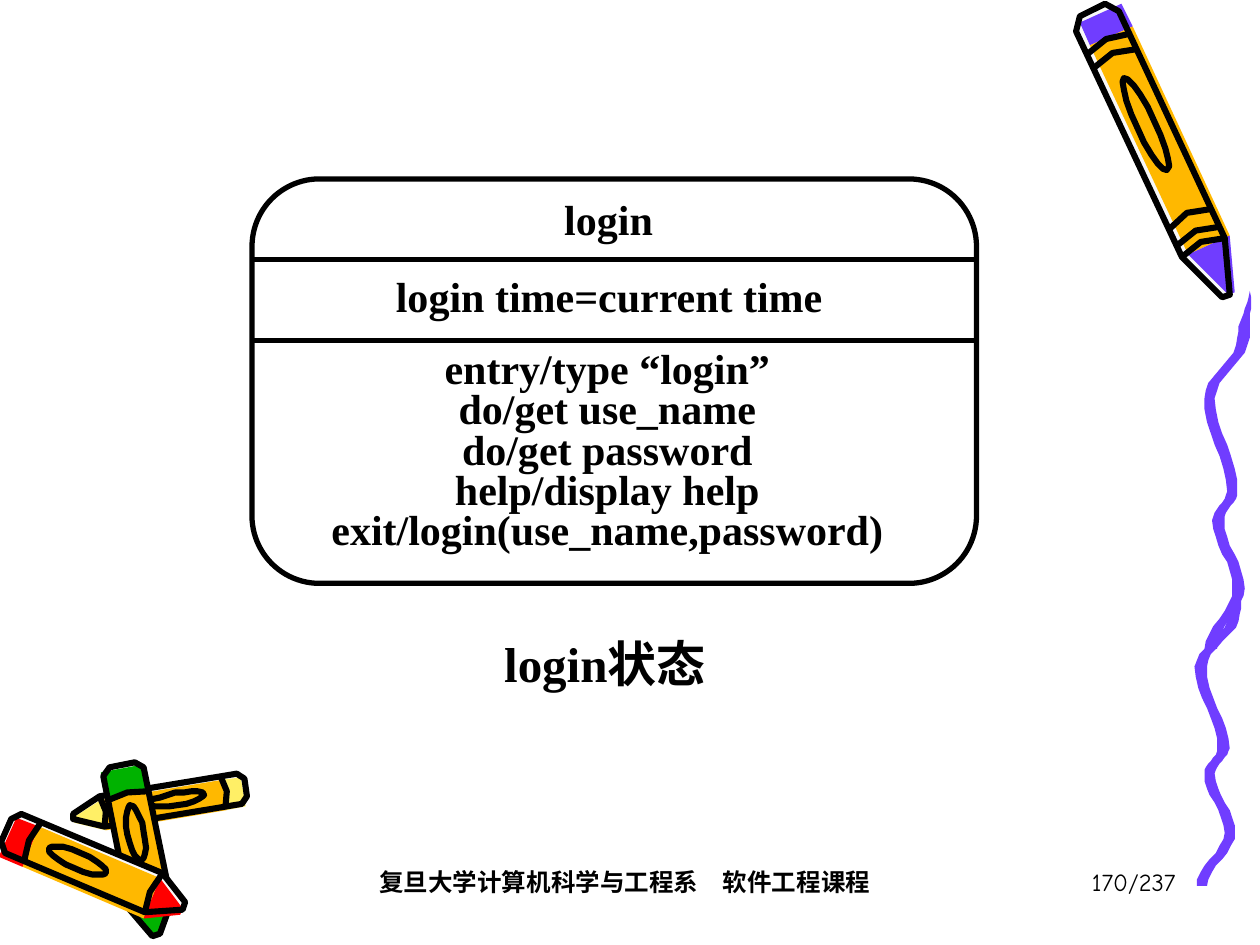
"""Builds the login state slide with its crayon decoration."""
from dataclasses import dataclass
from math import cos, hypot, pi, sin

from lxml import etree
from pptx import Presentation
from pptx import util as u
from pptx.dml.color import RGBColor
from pptx.enum import shapes, text
from pptx.oxml.ns import qn

COLS, ROWS = 1000, 750
CELL = u.Inches(0.01)
INK, PAPER, AMBER, PURPLE = "000000", "F8F8F8", "FFB800", "703DFF"
RED, GREEN, CREAM = "FF0000", "00B200", "FFEF66"
SERIF, HAND = "Times New Roman", "Comic Neue"
Points = list[tuple[float, float]]


@dataclass
class Crayon:
    """A crayon from tail to tip; cap and bands are shares of its length, shift of its width."""
    tail: tuple[int, int]
    tip: tuple[int, int]
    width: int
    color: str
    cap: float
    bands: tuple[float, ...]
    shift: float

    def place(self, local: Points) -> Points:
        """Map (share along, share across) points to grid points."""
        dx, dy = self.tip[0] - self.tail[0], self.tip[1] - self.tail[1]
        scale = self.width / hypot(dx, dy)
        return [(self.tail[0] + along * dx + across * scale * dy,
                 self.tail[1] + along * dy - across * scale * dx) for along, across in local]


@dataclass
class Label:
    """Text lines in a box given in grid columns and rows."""
    box: tuple[int, int, int, int]
    lines: list[str]
    size: int = 24
    font: str = SERIF
    bold: bool = True
    align: text.PP_ALIGN = text.PP_ALIGN.CENTER
    anchor: text.MSO_ANCHOR = text.MSO_ANCHOR.MIDDLE
    spacing: float = 0.8


SHOULDER = 0.83
CONE = [(SHOULDER, 0.5), (1, 0.08), (1, -0.08), (SHOULDER, -0.5)]
BODY = [(0.04, -0.5), (0, -0.3), (0, 0.3), (0.04, 0.5)] + CONE
OVAL_CENTER, OVAL_LENGTH, OVAL_WIDTH, OVAL_STEPS = 0.4, 0.32, 0.4, 20
BAND_BOW = 0.02
CRAYONS = [
    Crayon((867, 8), (973, 235), 37, PURPLE, 0.1, (0.12, 0.17, 0.73, 0.79, SHOULDER), 0.13),
    Crayon((195, 625), (58, 648), 24, CREAM, 0.13, (0.13, SHOULDER), 0.13),
    Crayon((97, 607), (124, 742), 33, GREEN, 0.18, (0.18, SHOULDER), -0.05),
    Crayon((5, 659), (146, 719), 34, RED, 0.15, (0.15, SHOULDER), -0.13),
]

SQUIGGLE_TURNS = [(0, 36), (0.13, 31), (0.3, 4), (0.56, 22), (0.64, 11), (0.83, 27), (1, 5)]
SQUIGGLE_WIDTH, SQUIGGLE_TAPER, STEPS_PER_TURN = 9, 0.1, 8
SQUIGGLE_PLACES = [(956, 231, 284), (949, 455, 248)]

FRAME = (200, 142, 575, 321)
DIVIDER_ROWS = (206, 270)
LABELS = [
    Label((200, 683, 592, 50), ["复旦大学计算机科学与工程系　软件工程课程"], 14, HAND,
          anchor=text.MSO_ANCHOR.TOP, spacing=1.0),
    Label((735, 683, 208, 50), ["170/237"], 14, HAND, False, text.PP_ALIGN.RIGHT, text.MSO_ANCHOR.TOP, 1.0),
    Label((236, 153, 494, 48), ["login"]),
    Label((233, 216, 501, 45), ["login time=current time"]),
    Label((233, 273, 498, 173), ["entry/type “login”", "do/get use_name", "do/get password",
                                 "help/display help", "exit/login(use_name,password)"]),
]
CAPTION = Label((358, 494, 244, 73), ["login状态"], 28)


def rgb(value: str) -> RGBColor:
    """Turn a hex string into a colour."""
    return RGBColor.from_string(value)


def grid(*cells: float) -> list[int]:
    """Turn grid counts into lengths."""
    return [round(c * CELL) for c in cells]


def paint(sp, fill: str | None = None, line: str | None = None, weight: float = 3) -> None:
    """Give a shape its fill and line, or neither."""
    sp.shadow.inherit = False
    if fill:
        sp.fill.solid()
        sp.fill.fore_color.rgb = rgb(fill)
    else:
        sp.fill.background()
    if line:
        sp.line.color.rgb = rgb(line)
        sp.line.width = u.Pt(weight)
    else:
        sp.line.fill.background()


def add_outline(s, pts: Points, closed: bool = True):
    """Add a freeform through grid points."""
    fb = s.shapes.build_freeform(*pts[0], scale=CELL)
    fb.add_line_segments(pts[1:], close=closed)
    return fb.convert_to_shape()


def draw_crayon(s, crayon: Crayon) -> None:
    """Draw paper, shifted colours, then the ink on top."""
    paint(add_outline(s, crayon.place(BODY)), PAPER)
    cap, barrel = ([(start, -0.5), (start, 0.5), (end, 0.5), (end, -0.5)]
                   for start, end in ((0.02, crayon.cap), (crayon.cap, SHOULDER)))
    for part, color in ((cap, crayon.color), (barrel, AMBER), (CONE, crayon.color)):
        shifted = [(along, across + crayon.shift) for along, across in part]
        paint(add_outline(s, crayon.place(shifted)), color)
    turns = [2 * pi * i / OVAL_STEPS for i in range(OVAL_STEPS)]
    oval = [(OVAL_CENTER + OVAL_LENGTH / 2 * cos(a), OVAL_WIDTH / 2 * sin(a)) for a in turns]
    for ring in (BODY, oval):
        paint(add_outline(s, crayon.place(ring)), line=INK, weight=3.5)
    for band in crayon.bands:
        bow = [(band, -0.5), (band - BAND_BOW, 0), (band, 0.5)]
        paint(add_outline(s, crayon.place(bow), closed=False), line=INK, weight=3.5)


def draw_squiggle(s, left: int, top: int, height: int) -> None:
    """Draw a tapered ribbon that eases from turn to turn."""
    center = []
    for (y1, x1), (y2, x2) in zip(SQUIGGLE_TURNS, SQUIGGLE_TURNS[1:]):
        for i in range(STEPS_PER_TURN):
            share = i / STEPS_PER_TURN
            center.append((x1 + (x2 - x1) * (1 - cos(pi * share)) / 2, y1 + (y2 - y1) * share))
    center.append(SQUIGGLE_TURNS[-1][::-1])
    sides = [[(left + x + side * SQUIGGLE_WIDTH / 2 * min(1, y / SQUIGGLE_TAPER), top + y * height)
              for x, y in center] for side in (-1, 1)]
    paint(add_outline(s, sides[0] + sides[1][::-1]), PURPLE)


def draw_frame(s) -> None:
    """Draw the rounded state box and its dividers."""
    sp = s.shapes.add_shape(shapes.MSO_SHAPE.ROUNDED_RECTANGLE, *grid(*FRAME))
    sp.adjustments[0] = 0.167
    paint(sp, line=INK)
    left, right = FRAME[0], FRAME[0] + FRAME[2]
    for row in DIVIDER_ROWS:
        cxn = s.shapes.add_connector(shapes.MSO_CONNECTOR.STRAIGHT, *grid(left, row, right, row))
        cxn.line.color.rgb = rgb(INK)
        cxn.line.width = u.Pt(3)
        etree.SubElement(cxn._element.spPr, qn("a:effectLst"))


def write_label(sp, label: Label) -> None:
    """Place a text shape and fill it with the label's lines."""
    sp.left, sp.top, sp.width, sp.height = grid(*label.box)
    tf = sp.text_frame
    tf.word_wrap = True
    tf.auto_size = text.MSO_AUTO_SIZE.NONE
    tf.vertical_anchor = label.anchor
    for i, line in enumerate(label.lines):
        p = tf.add_paragraph() if i else tf.paragraphs[0]
        p.alignment = label.align
        p.line_spacing = label.spacing
        p.space_before = u.Pt(0)
        r = p.add_run()
        r.text = line
        r.font.name = label.font
        r.font.size = u.Pt(label.size)
        r.font.bold = label.bold
        r.font.color.rgb = rgb(INK)


def main() -> None:
    """Build and save the slide."""
    prs = Presentation()
    prs.slide_width, prs.slide_height = grid(COLS, ROWS)
    s = prs.slides.add_slide(prs.slide_layouts[5])
    for crayon in CRAYONS:
        draw_crayon(s, crayon)
    for place in SQUIGGLE_PLACES:
        draw_squiggle(s, *place)
    draw_frame(s)
    for label in LABELS:
        write_label(s.shapes.add_textbox(*grid(*label.box)), label)
    write_label(s.shapes.title, CAPTION)
    prs.save("out.pptx")


if __name__ == "__main__":
    main()
